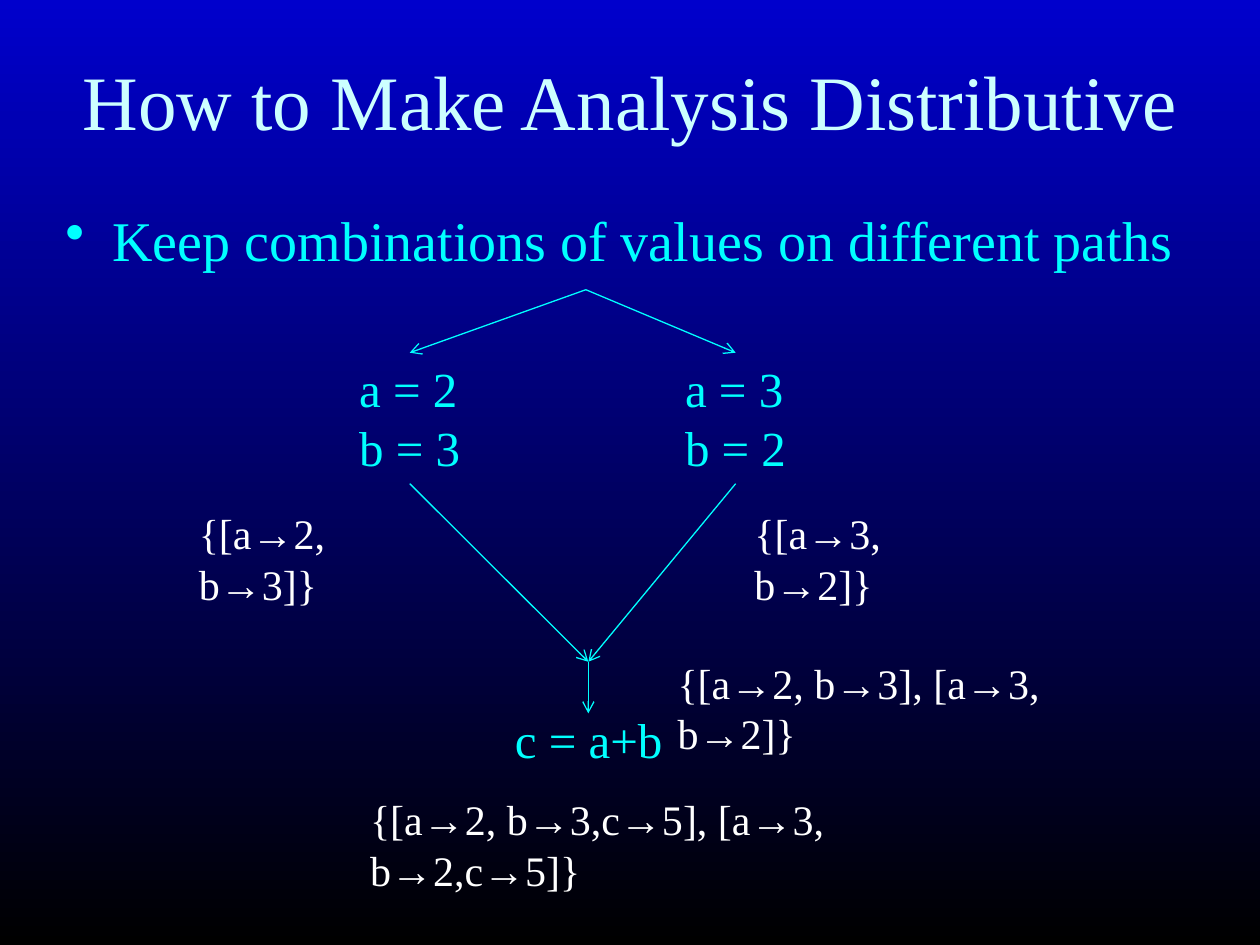
from dataclasses import dataclass
from itertools import groupby

from lxml.etree import SubElement
from pptx import Presentation
from pptx.dml.color import RGBColor as Rgb
from pptx.enum.shapes import MSO_CONNECTOR as Connector
from pptx.enum.text import MSO_ANCHOR as Anchor, PP_ALIGN as Align
from pptx.oxml.ns import qn
from pptx.util import Cm, Pt

BOTTOM, TOP = 2, 0


@dataclass(frozen=True)
class Theme:
    sky: Rgb = Rgb(0x00, 0x00, 0xCC)
    night: Rgb = Rgb(0x00, 0x00, 0x00)
    title: Rgb = Rgb(0xCC, 0xFF, 0xFF)
    accent: Rgb = Rgb(0x00, 0xFF, 0xFF)
    plain: Rgb = Rgb(0xFF, 0xFF, 0xFF)
    font: str = "Times New Roman"
    arrow_font: str = "Arial"
    title_size: int = 44
    body_size: int = 32
    code_size: int = 28
    fact_size: int = 24
    line_width: float = 0.75


def write_text(paragraph, text, *, size, color, font, arrow_font):
    for is_arrow, characters in groupby(text, lambda character: character == "→"):
        run = paragraph.add_run()
        run.text = "".join(characters)
        run.font.size = Pt(size)
        run.font.color.rgb = color
        run.font.name = arrow_font if is_arrow else font


class SlideBuilder:
    """Draws styled elements on the current slide."""

    def __init__(self, slide, theme):
        self.slide = slide
        self.theme = theme

    def background(self):
        fill = self.slide.background.fill
        fill.gradient()
        fill.gradient_angle = 270
        for stop, color, position in zip(
            fill.gradient_stops, (self.theme.sky, self.theme.night), (0, 1)
        ):
            stop.color.rgb = color
            stop.position = position

    def text(self, box, lines, size, color, wrap=True):
        shape = self.slide.shapes.add_textbox(*map(Cm, box))
        frame = shape.text_frame
        frame.word_wrap = wrap
        for index, line in enumerate(lines):
            paragraph = frame.add_paragraph() if index else frame.paragraphs[0]
            write_text(paragraph, line, size=size, color=color,
                       font=self.theme.font, arrow_font=self.theme.arrow_font)
        return shape

    def title(self, box, text):
        shape = self.text(box, [text], self.theme.title_size, self.theme.title)
        shape.text_frame.vertical_anchor = Anchor.MIDDLE
        shape.text_frame.paragraphs[0].alignment = Align.CENTER

    def bullet(self, box, text):
        shape = self.text(box, [text], self.theme.body_size, self.theme.accent)
        paragraph = shape.text_frame.paragraphs[0]
        paragraph.space_before = Pt(8)
        properties = paragraph._p.get_or_add_pPr()
        properties.set("marL", str(Cm(0.95)))
        properties.set("indent", str(-Cm(0.95)))
        color = SubElement(properties, qn("a:buClr"))
        SubElement(color, qn("a:srgbClr")).set("val", str(self.theme.accent))
        SubElement(properties, qn("a:buChar")).set("char", "•")

    def code(self, box, *lines):
        return self.text(box, lines, self.theme.code_size, self.theme.accent, wrap=False)

    def fact(self, left, top, width, text):
        self.text((left, top, width, 1.27), [text], self.theme.fact_size, self.theme.plain)

    def arrow(self, start, end, source=None, target=None):
        connector = self.slide.shapes.add_connector(
            Connector.STRAIGHT, *map(Cm, (*start, *end)))
        if source:
            connector.begin_connect(source, BOTTOM)
        if target:
            connector.end_connect(target, TOP)
        connector.line.color.rgb = self.theme.accent
        connector.line.width = Pt(self.theme.line_width)
        SubElement(connector.line._get_or_add_ln(), qn("a:tailEnd")).set("type", "arrow")
        SubElement(connector._element.spPr, qn("a:effectLst"))


def main():
    presentation = Presentation()
    presentation.slide_width, presentation.slide_height = Cm(25.4), Cm(19.05)
    slide = presentation.slides.add_slide(presentation.slide_layouts[6])
    builder = SlideBuilder(slide, Theme())

    builder.background()
    builder.title((1.07, 0.43, 23.29, 3.18), "How to Make Analysis Distributive")
    builder.bullet((1.07, 4.01, 23.29, 13.54),
                   "Keep combinations of values on different paths")

    fork, join = (11.81, 5.84), (11.86, 13.34)
    branch_top, branch_width, branch_height = 7.11, 2.54, 2.64
    for left, lines in ((6.99, ("a = 2", "b = 3")), (13.56, ("a = 3", "b = 2"))):
        branch = builder.code((left, branch_top, branch_width, branch_height), *lines)
        middle = left + branch_width / 2
        builder.arrow(fork, (middle, branch_top), target=branch)
        builder.arrow((middle, branch_top + branch_height), join, source=branch)

    builder.code((10.13, 14.17, 3.48, 1.45), "c = a+b")
    builder.arrow(join, (join[0], 14.38))

    for left, top, width, text in (
        (14.96, 10.11, 5.33, "{[a→3, b→2]}"),
        (3.76, 10.11, 5.33, "{[a→2, b→3]}"),
        (13.41, 13.13, 9.96, "{[a→2, b→3], [a→3, b→2]}"),
        (7.21, 15.88, 13.36, "{[a→2, b→3,c→5], [a→3, b→2,c→5]}"),
    ):
        builder.fact(left, top, width, text)

    presentation.save("out.pptx")


if __name__ == "__main__":
    main()
